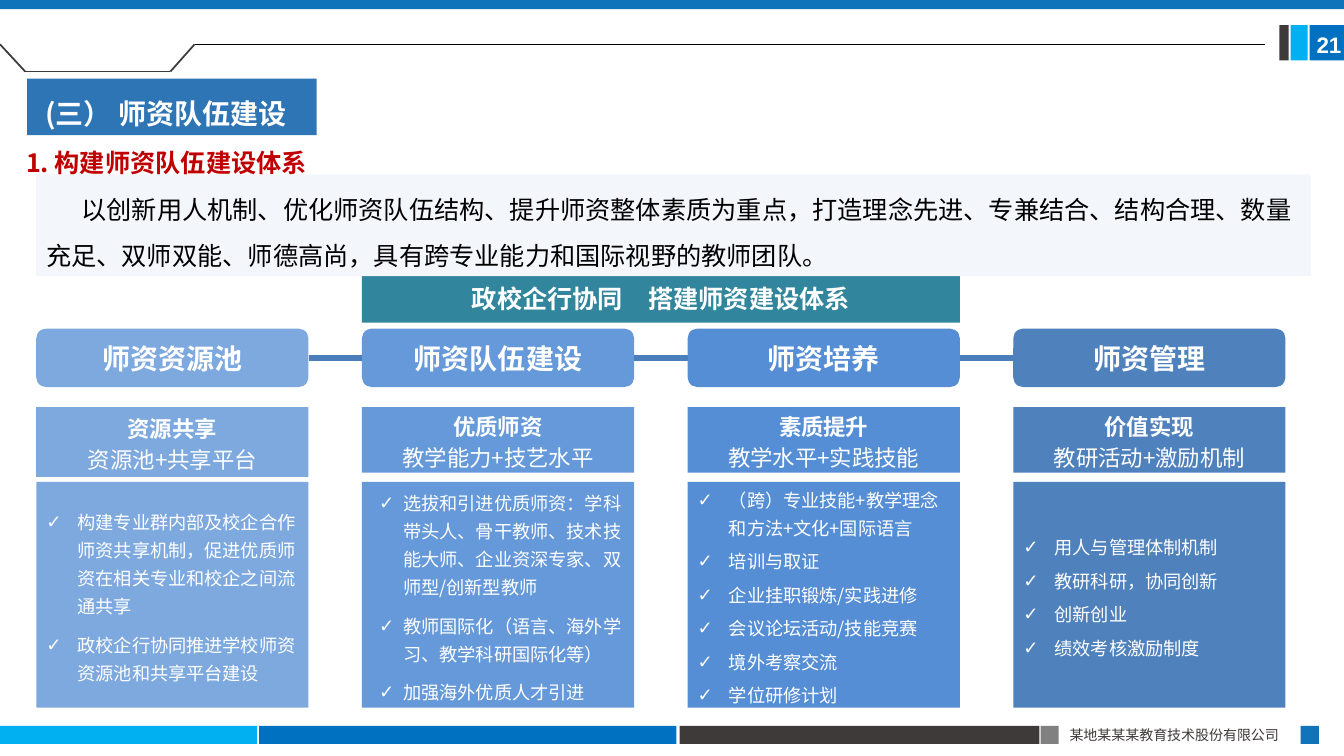
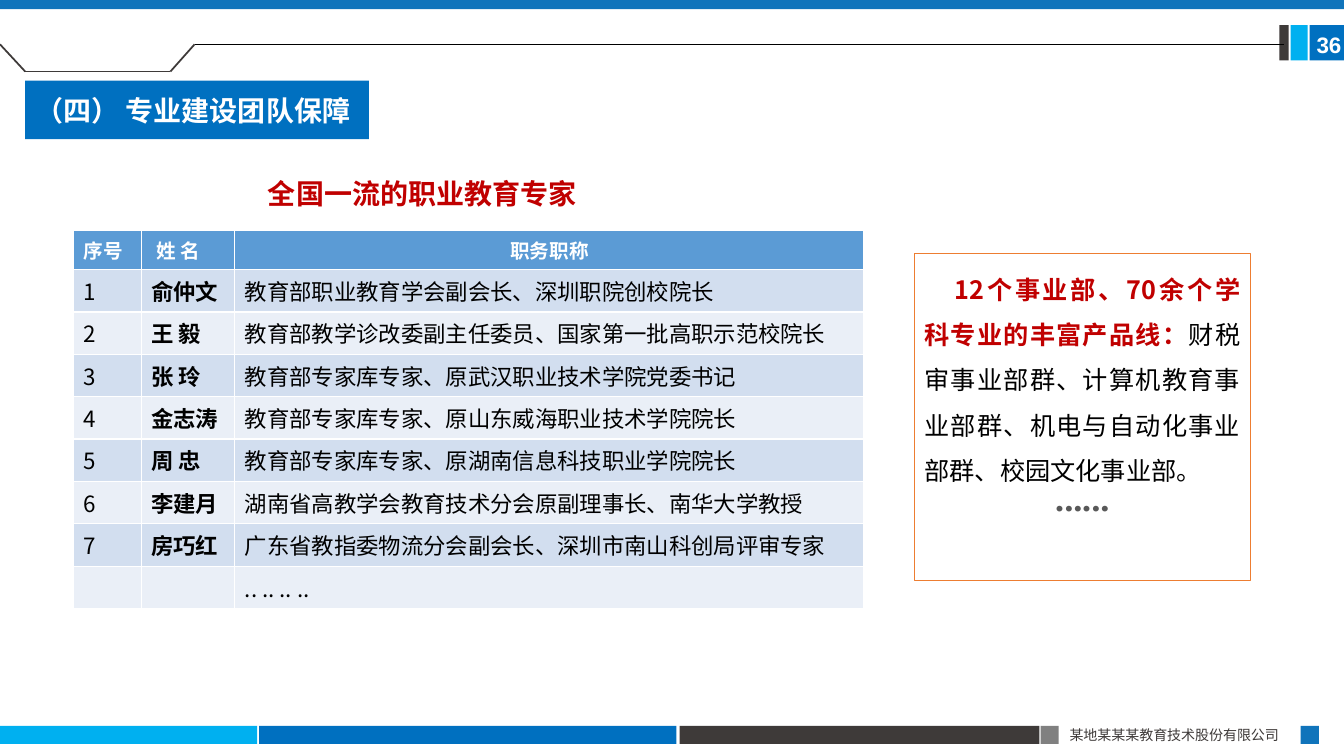
from dataclasses import dataclass
from lxml import etree
from pptx import Presentation, util as u
from pptx.dml.color import RGBColor
from pptx.enum import shapes, text
from pptx.oxml.ns import qn


@dataclass(frozen=True)
class Theme:
    face: str = "Noto Sans CJK SC"
    num: str = "Arial"
    head: str = "Calibri"
    dots: str = "Karla"
    white: str = "FFFFFF"
    black: str = "000000"
    dark: str = "3E3A39"
    gray: str = "808080"
    soft: str = "595959"
    sky: str = "00B0F0"
    blue: str = "0070C0"
    bar: str = "1074BB"
    tag: str = "2E75B6"
    red: str = "C00000"
    teal: str = "31859C"
    pale: str = "F3F6FB"
    wire: str = "4B7EBC"
    edge: str = "ED7D31"
    top: str = "5B9BD5"
    rows: tuple = ("D2DEEF", "EAEFF7")
    cards: tuple = ("7DA9DF", "6599D9", "558ED5", "4F81BD")
    huge: int = 36
    big: int = 20
    mid: int = 18
    body: int = 16
    cap: int = 14
    item: int = 13
    tiny: int = 10


T = Theme()
W, H = 13.33, 7.5
RECT = shapes.MSO_SHAPE.RECTANGLE
ROUND = shapes.MSO_SHAPE.ROUNDED_RECTANGLE
LEFT, MID, FULL = text.PP_ALIGN.LEFT, text.PP_ALIGN.CENTER, text.PP_ALIGN.JUSTIFY


def box(page, x, y, w, h, fill=None, kind=RECT, hold=None):
    spot = [u.Inches(n) for n in (x, y, w, h)]
    if hold is not None:
        item = hold
        item.left, item.top, item.width, item.height = spot
    elif kind is None:
        item = page.shapes.add_textbox(*spot)
    else:
        item = page.shapes.add_shape(kind, *spot)
        item.shadow.inherit = False
        item.line.fill.background()
    if fill:
        item.fill.solid()
        item.fill.fore_color.rgb = RGBColor.from_string(fill)
    else:
        item.fill.background()
    frame = item.text_frame
    frame.word_wrap = True
    frame.auto_size = text.MSO_AUTO_SIZE.NONE
    frame.vertical_anchor = text.MSO_ANCHOR.TOP if kind is None else text.MSO_ANCHOR.MIDDLE
    return item


def write(par, words, size, color, bold=False, align=LEFT, face=T.face):
    par.alignment = align
    run = par.add_run()
    run.text = words
    run.font.size = u.Pt(size)
    run.font.bold = bold
    run.font.color.rgb = RGBColor.from_string(color)
    run.font.name = face
    east = etree.SubElement(run.font._element, qn("a:ea"))
    east.set("typeface", T.face)


deck = Presentation()
deck.slide_width, deck.slide_height = u.Inches(W), u.Inches(H)
team = deck.slides.add_slide(deck.slide_layouts.get_by_name("Comparison"))
staff = deck.slides.add_slide(deck.slide_layouts.get_by_name("Title Only"))

base = [
    box(team, *spot, fill)
    for *spot, fill in (
        (0, 7.2, 2.55, 0.18, T.sky),
        (2.57, 7.2, 4.14, 0.18, T.blue),
        (6.74, 7.2, 3.57, 0.18, T.dark),
        (10.32, 7.2, 0.18, 0.18, T.gray),
        (12.9, 7.2, 0.18, 0.18, T.bar),
        (12.99, 0.25, 0.34, 0.35, T.blue),
        (12.8, 0.25, 0.17, 0.35, T.sky),
        (12.69, 0.25, 0.09, 0.35, T.dark),
        (0, 0, W, 0.09, T.bar),
    )
]
firm = box(team, 10.51, 7.16, 2.4, 0.27, kind=None)
write(firm.text_frame.paragraphs[0], "某地某某某教育技术股份有限公司", T.tiny, T.dark, align=FULL)
base.append(firm)

heads = (
    (team, (0.27, 0.78, 2.87, 0.56), T.tag, "(三） 师资队伍建设", T.face, "21"),
    (staff, (0.25, 0.8, 3.41, 0.58), T.blue, "（四） 专业建设团队保障", T.head, "36"),
)
for page, spot, fill, words, face, num in heads:
    title = box(page, *spot, fill, hold=page.shapes.title)
    write(title.text_frame.paragraphs[0], words, T.big, T.white, True, face=face)
    mark = box(page, 12.96, 0.26, 0.5, 0.37, kind=None)
    write(mark.text_frame.paragraphs[0], num, T.body, T.white, True, face=T.num)

frame = team.shapes.title.text_frame
frame.vertical_anchor = text.MSO_ANCHOR.TOP
frame.margin_left, frame.margin_top = u.Inches(0.18), u.Inches(0.08)
frame.paragraphs[0].line_spacing = 1.3

cols = (
    ("师资资源池", "资源共享", "资源池+共享平台", 0.69, 0.31, 7.7, (
        "构建专业群内部及校企合作师资共享机制，促进优质师资在相关专业和校企之间流通共享",
        "政校企行协同推进学校师资资源池和共享平台建设")),
    ("师资队伍建设", "优质师资", "教学能力+技艺水平", 0.65, 0.24, 7.7, (
        "选拔和引进优质师资：学科带头人、骨干教师、技术技能大师、企业资深专家、双师型/创新型教师",
        "教师国际化（语言、海外学习、教学科研国际化等）",
        "加强海外优质人才引进")),
    ("师资培养", "素质提升", "教学水平+实践技能", 0.65, 0.31, 3.9, (
        "（跨）专业技能+教学理念和方法+文化+国际语言",
        "培训与取证",
        "企业挂职锻炼/实践进修",
        "会议论坛活动/技能竞赛",
        "境外考察交流",
        "学位研修计划")),
    ("师资管理", "价值实现", "教研活动+激励机制", 0.65, 0.31, 3.9, (
        "用人与管理体制机制",
        "教研科研，协同创新",
        "创新创业",
        "绩效考核激励制度")),
)
left, step, wide = 0.36, 3.23, 2.7
slots = list(team.placeholders)[1:]
cards = []
for i, (name, goal, means, tall, hang, gap, items) in enumerate(cols):
    x, fill = left + i * step, T.cards[i]
    card = box(team, x, 3.26, wide, 0.58, fill, ROUND)
    write(card.text_frame.paragraphs[0], name, T.big, T.white, True, MID)
    cards.append(card)
    frame = box(team, x, 4.04, wide, tall, fill).text_frame
    for par, words, bold in ((frame.paragraphs[0], goal, True), (frame.add_paragraph(), means, False)):
        par.line_spacing = u.Pt(22)
        write(par, words, T.body, T.white, bold, MID)
    frame = box(team, x, 4.78, wide, 2.24, fill, hold=slots[i]).text_frame
    for j, words in enumerate(items):
        par = frame.add_paragraph() if j else frame.paragraphs[0]
        prop = par._p.get_or_add_pPr()
        prop.set("marL", str(u.Inches(0.31)))
        prop.set("indent", str(-u.Inches(hang)))
        etree.SubElement(prop, qn("a:buChar")).set("char", "✓")
        par.line_spacing = u.Pt(20)
        par.space_before = u.Pt(gap if j else 0)
        write(par, words, T.item, T.white)

band = box(team, left + step, 2.72, step + wide, 0.48, T.teal)
write(band.text_frame.paragraphs[0], "政校企行协同　搭建师资建设体系", T.mid, T.white, True, MID)

lead = box(team, left, 1.73, 12.64, 1.01, T.pale)
lead.text_frame.vertical_anchor = text.MSO_ANCHOR.TOP
par = lead.text_frame.paragraphs[0]
par._p.get_or_add_pPr().set("indent", str(u.Inches(0.35)))
par.line_spacing = 1.5
write(par, "以创新用人机制、优化师资队伍结构、提升师资整体素质为重点，打造理念先进、专兼结合、结构合理、数量充足、双师双能、师德高尚，具有跨专业能力和国际视野的教师团队。", T.mid, T.black)

par = box(team, 0.16, 1.32, 3.6, 0.49, kind=None).text_frame.paragraphs[0]
par.line_spacing = 1.3
write(par, "1. 构建师资队伍建设体系", T.mid, T.red, True)

par = box(staff, 2.56, 1.7, 3.87, 0.44, kind=None).text_frame.paragraphs[0]
write(par, "全国一流的职业教育专家", T.big, T.red, True)

people = (
    ("序号", "姓 名", "职务职称"),
    ("1", "俞仲文", "教育部职业教育学会副会长、深圳职院创校院长"),
    ("2", "王 毅", "教育部教学诊改委副主任委员、国家第一批高职示范校院长"),
    ("3", "张 玲", "教育部专家库专家、原武汉职业技术学院党委书记"),
    ("4", "金志涛", "教育部专家库专家、原山东威海职业技术学院院长"),
    ("5", "周 忠", "教育部专家库专家、原湖南信息科技职业学院院长"),
    ("6", "李建月", "湖南省高教学会教育技术分会原副理事长、南华大学教授"),
    ("7", "房巧红", "广东省教指委物流分会副会长、深圳市南山科创局评审专家"),
    ("", "", ".. .. .. .."),
)
high, first = 3.58, 0.33
grid = staff.shapes.add_table(len(people), 3, *[u.Inches(n) for n in (0.73, 2.29, 7.84, high)]).table
for col, size in zip(grid.columns, (0.67, 0.93, 6.24)):
    col.width = u.Inches(size)
for r, row in enumerate(people):
    grid.rows[r].height = u.Inches((high - first) / (len(people) - 1) if r else first)
    for c, words in enumerate(row):
        cell = grid.cell(r, c)
        cell.fill.solid()
        cell.fill.fore_color.rgb = RGBColor.from_string(T.rows[(r - 1) % 2] if r else T.top)
        par = cell.text_frame.paragraphs[0]
        if not r:
            write(par, words, T.cap, T.white, True, MID if c == 2 else LEFT)
        elif words:
            write(par, words, T.body, T.black, c == 1)
grid.cell(0, 1).margin_left = u.Inches(0.15)

note = box(staff, 9.07, 2.52, 3.33, 3.24)
note.line.color.rgb = RGBColor.from_string(T.edge)
note.line.width = u.Pt(0.75)
frame = note.text_frame
frame.vertical_anchor = text.MSO_ANCHOR.TOP
par = frame.paragraphs[0]
par._p.get_or_add_pPr().set("indent", str(u.Inches(0.3)))
par.line_spacing = 1.5
write(par, "12个事业部、70余个学科专业的丰富产品线：", T.mid, T.red, True, FULL)
write(par, "财税审事业部群、计算机教育事业部群、机电与自动化事业部群、校园文化事业部。", T.mid, T.black, False, FULL)
par = frame.add_paragraph()
par.line_spacing = u.Pt(25.6)
write(par, "……", T.huge, T.soft, align=MID, face=T.dots)

bend = ((0, 0.44), (0.25, 0.71), (1.69, 0.71), (1.93, 0.44))
wires = [(team, a, b, T.dark, 1.25, None) for a, b in zip(bend, bend[1:])]
wires += [(page, bend[-1], (end, 0.44), T.black, 0.5, None) for page, end in ((team, 12.55), (staff, 12.73))]
for i, pair in enumerate(zip(cards, cards[1:])):
    x = left + i * step + wide
    wires.append((team, (x, 3.55), (x + step - wide, 3.55), T.wire, 4.5, pair))
for page, a, b, color, size, pair in wires:
    wire = page.shapes.add_connector(shapes.MSO_CONNECTOR.STRAIGHT, *[u.Inches(n) for n in a + b])
    wire.line.color.rgb = RGBColor.from_string(color)
    wire.line.width = u.Pt(size)
    etree.SubElement(wire.element.spPr, qn("a:effectLst"))
    if pair:
        wire.begin_connect(pair[0], 3)
        wire.end_connect(pair[1], 1)
    if color == T.dark:
        base.append(wire)

for part in base:
    deck.slide_master.shapes.element.append(part.element)

deck.save("out.pptx")
